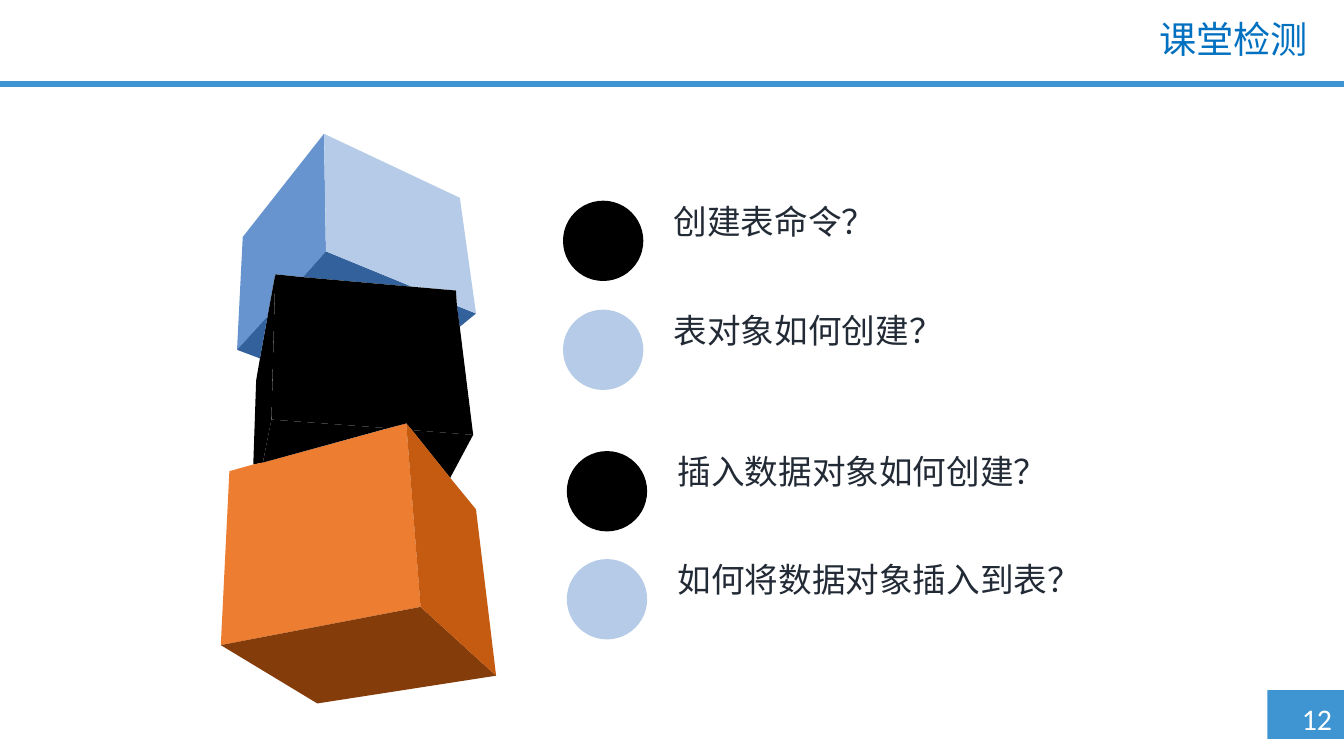
from pptx import Presentation
from pptx.dml.color import RGBColor
from pptx.enum.shapes import MSO_SHAPE
from pptx.enum.text import PP_ALIGN
from pptx.util import Inches, Pt

WIDTH, HEIGHT = 14.06, 7.91
COLORS = {
    "bar": "3F95D2", "title": "0070C0", "question": "222A35",
    "white": "FFFFFF", "black": "000000", "pale blue": "B5CBE7",
    "mid blue": "6794CE", "deep blue": "32619C",
    "orange": "ED7D31", "rust": "C55A11", "brown": "843C0B",
}

# Visible parts of the cube faces, back to front, on a grid of TOWER_GRID units
TOWER_GRID = (288, 596)
FACES = [
    ("mid blue", [[(17, 226), (23, 108), (108, 0), (110, 123), (86, 150),
                   (57, 147), (49, 191)]]),
    ("black", [[(34, 346), (37, 258), (41, 235), (49, 191), (57, 147),
                (53, 299), (44, 344)]]),
    ("orange", [[(0, 535), (9, 353), (34, 346), (44, 344), (194, 303),
                 (209, 495)]]),
    ("deep blue", [[(247, 180), (250, 202), (267, 188)],
                   [(41, 235), (49, 191), (17, 226)],
                   [(86, 150), (200, 160), (110, 123)]]),
    ("black", [[(200, 310), (240, 360), (264, 315)],
               [(44, 344), (175, 308), (53, 299)]]),
    ("brown", [[(0, 535), (209, 495), (288, 567), (101, 596)]]),
    ("pale blue", [[(110, 123), (108, 0), (250, 67), (267, 188), (247, 180),
                    (246, 164), (200, 160)]]),
    ("black", [[(53, 299), (57, 147), (86, 150), (200, 160), (246, 164),
                (247, 180), (250, 202), (264, 315), (200, 310), (194, 303),
                (175, 308)]]),
    ("rust", [[(209, 495), (194, 303), (200, 310), (240, 360), (267, 393),
               (288, 567)]]),
]


def paint(shape, color):
    shape.shadow.inherit = False
    shape.fill.solid()
    shape.fill.fore_color.rgb = RGBColor.from_string(COLORS[color])
    shape.line.fill.background()


def add_solid(slide, kind, box, color):
    paint(slide.shapes.add_shape(kind, *map(Inches, box)), color)


def add_text(slide, box, text, font, size, color, wrap=True, top_inset=0):
    """Add a one-paragraph text box and return its paragraph."""
    frame = slide.shapes.add_textbox(*map(Inches, box)).text_frame
    frame.word_wrap = wrap
    frame.margin_top = Inches(top_inset)
    paragraph = frame.paragraphs[0]
    paragraph.text = text
    paragraph.font.name = font
    paragraph.font.size = Pt(size)
    paragraph.font.color.rgb = RGBColor.from_string(COLORS[color])
    return paragraph


def add_header(slide, box, title):
    left, top, width, height = box
    rule = 0.06
    add_solid(slide, MSO_SHAPE.RECTANGLE,
              (left, top + height - rule, width, rule), "bar")
    title_width, margin = 4.31, 0.28
    heading = add_text(
        slide, (left + width - margin - title_width, top + 0.22, title_width, 0.57),
        title, "Noto Sans CJK SC", 28, "title")
    heading.alignment = PP_ALIGN.RIGHT
    heading.line_spacing = 0.9


def add_page_number(slide, box, number):
    left, top, width, height = box
    add_solid(slide, MSO_SHAPE.RECTANGLE, box, "bar")
    add_text(slide, (left + 0.26, top + 0.06, 0.65, 0.48), number,
             "Calibri", 22.5, "white", wrap=False, top_inset=0.05)


def add_cube_tower(slide, box):
    left, top, width, height = box
    columns, rows = TOWER_GRID

    def place(point):
        return (Inches(left + point[0] * width / columns),
                Inches(top + point[1] * height / rows))

    tower = slide.shapes.add_group_shape()
    for color, outlines in FACES:
        first, *others = [[place(point) for point in outline] for outline in outlines]
        face = tower.shapes.build_freeform(*first[0])
        face.add_line_segments(first[1:], close=True)
        for outline in others:
            face.move_to(*outline[0])
            face.add_line_segments(outline[1:], close=True)
        paint(face.convert_to_shape(), color)


def add_question_pair(slide, box, questions):
    """Stack questions in equal rows, each with a disc at its left."""
    left, top, width, height = box
    pitch, disc, text_offset = height / len(questions), 0.84, 1.06
    for row, (question, color) in enumerate(zip(questions, ("black", "pale blue"))):
        row_top = top + row * pitch
        add_text(slide, (left + text_offset, row_top, width - text_offset, 0.53),
                 question, "Arial Narrow", 25.3, "question")
        add_solid(slide, MSO_SHAPE.OVAL, (left, row_top, disc, disc), color)


def main():
    deck = Presentation()
    deck.slide_width, deck.slide_height = Inches(WIDTH), Inches(HEIGHT)
    slide = deck.slides.add_slide(deck.slide_layouts[6])
    add_page_number(slide, (WIDTH - 0.8, 7.22, 0.8, 0.51), "12")
    add_header(slide, (0, 0, WIDTH, 0.91), "课堂检测")
    add_cube_tower(slide, (2.31, 1.4, 2.88, 5.96))
    add_question_pair(slide, (5.89, 2.1, 7.5, 2.28),
                      ["创建表命令？", "表对象如何创建？"])
    add_question_pair(slide, (5.93, 4.72, 6.75, 2.26),
                      ["插入数据对象如何创建？", "如何将数据对象插入到表？"])
    deck.save("out.pptx")


if __name__ == "__main__":
    main()
